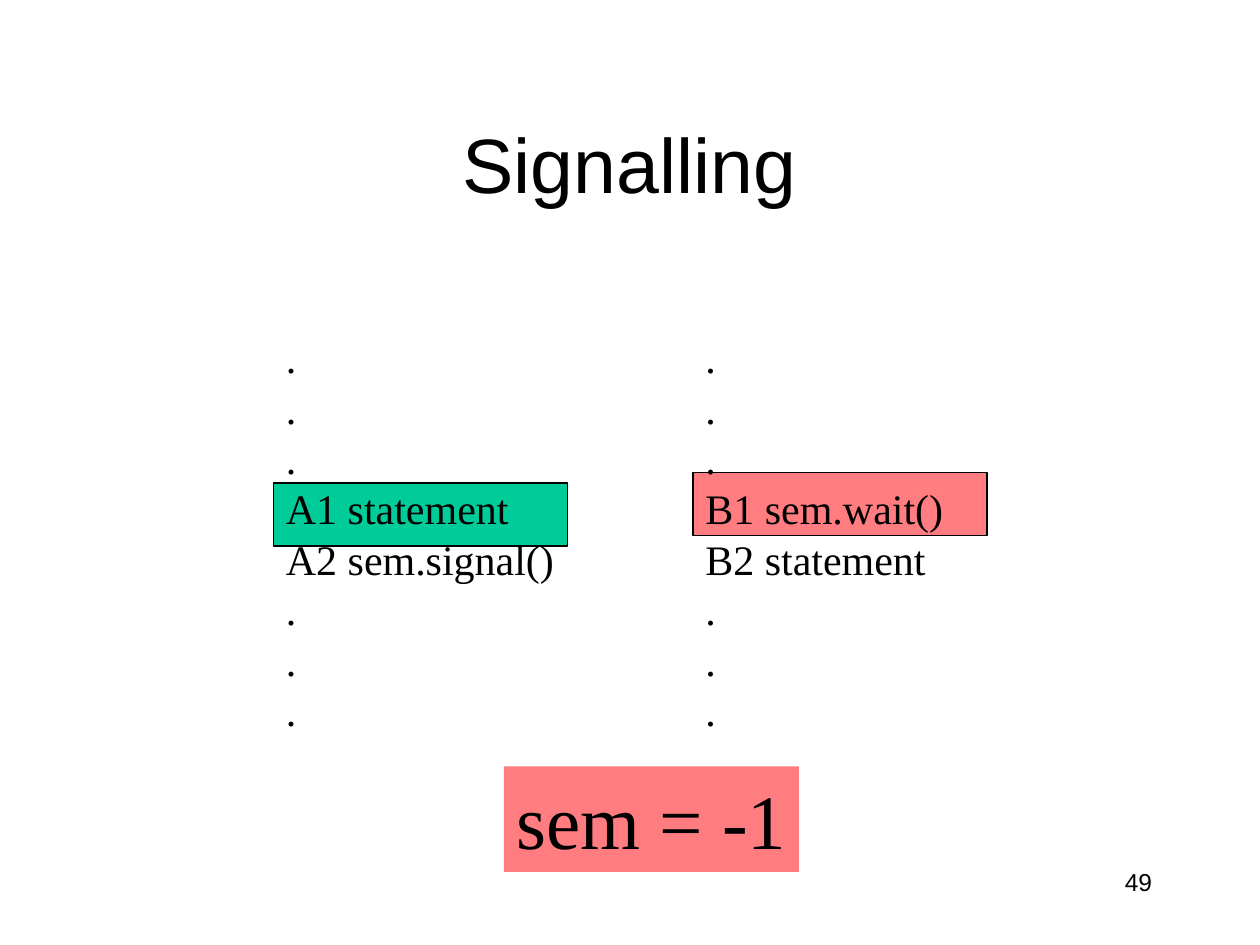
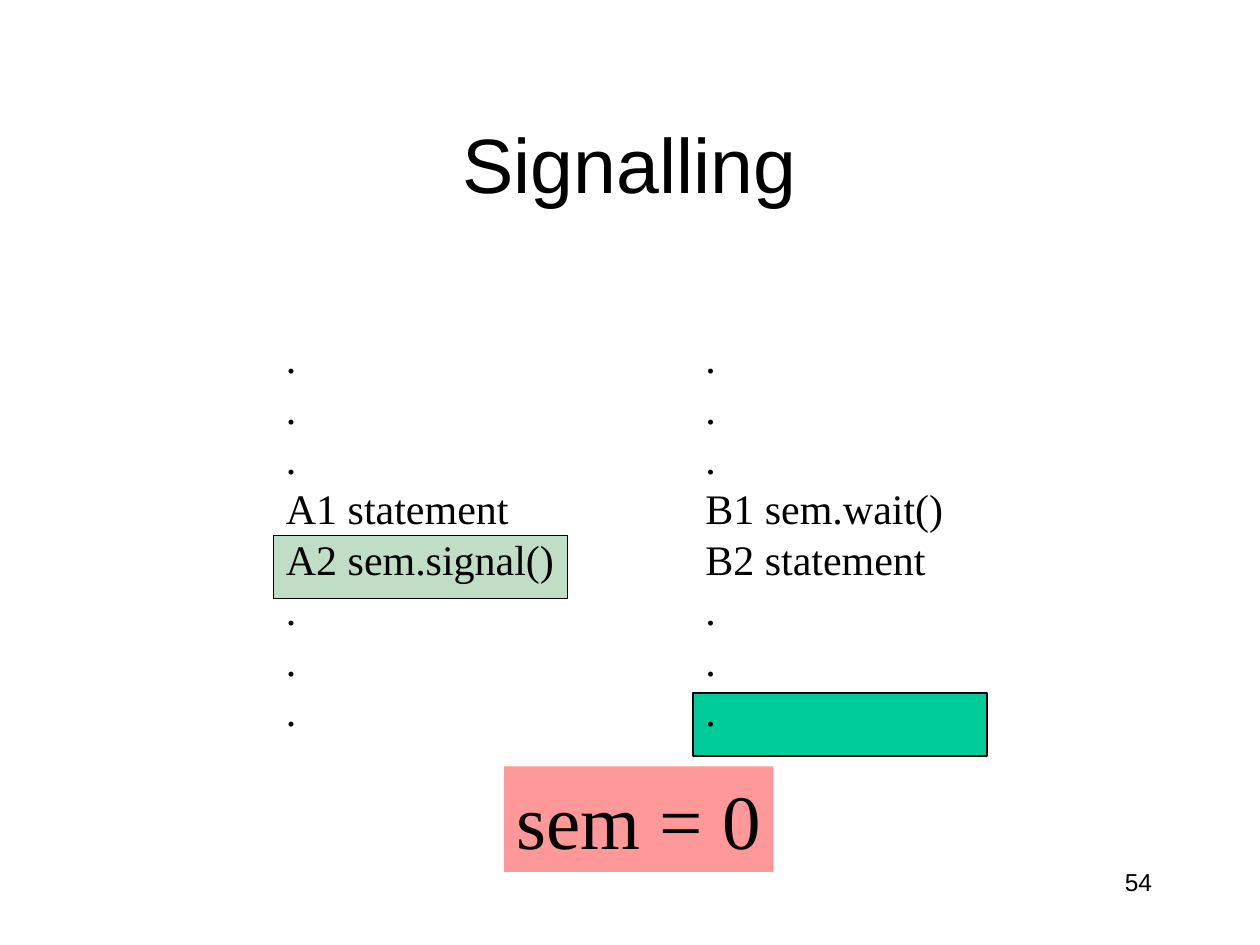
from pptx import Presentation
from pptx.dml.color import RGBColor
from pptx.enum.shapes import MSO_SHAPE
from pptx.enum.text import MSO_ANCHOR, PP_ALIGN
from pptx.util import Pt

COLORS = {
    "ink": "000000",
    "running": "00CC99",
    "done": "C0DEC5",
    "blocked": "FF7C80",
    "released": "FF9999",
}
HEADING_FONT, CODE_FONT = "Arial", "Times New Roman"

# Each thread: left edge and width of its listing, then its statements
THREADS = {
    "A": (156.25, 168, ["A1 statement", "A2 sem.signal()"]),
    "B": (396, 150.5, ["B1 sem.wait()", "B2 statement"]),
}
ELLIPSIS = ["."] * 3

# Per slide: marker (top, colour) by thread, semaphore (text, width, colour)
STEPS = [
    {"number": "49", "markers": {"A": (276, "running"), "B": (270, "blocked")},
     "semaphore": ("sem = -1", 168.5, "blocked")},
    {"number": "54", "markers": {"A": (306, "done"), "B": (396, "running")},
     "semaphore": ("sem = 0", 154, "released")},
]


def color(name):
    return RGBColor.from_string(COLORS[name])


def add_text(slide, box, lines, font, size, align=PP_ALIGN.LEFT, spacing=None):
    text_box = slide.shapes.add_textbox(*map(Pt, box))
    frame = text_box.text_frame
    frame.word_wrap = True
    frame.text = "\n".join(lines)
    for paragraph in frame.paragraphs:
        paragraph.alignment = align
        paragraph.line_spacing = spacing
        paragraph.font.name = font
        paragraph.font.size = Pt(size)
        paragraph.font.color.rgb = color("ink")
    return text_box


def add_code(slide, box, lines, size, spacing):
    code = add_text(slide, box, lines, CODE_FONT, size, spacing=Pt(spacing))
    # Spare room on the right keeps each statement on one line
    code.text_frame.margin_right = 0
    return code


def add_title(slide, text):
    title = add_text(slide, (54, 36.7, 611.3, 112.3), [text], HEADING_FONT, 44,
                     PP_ALIGN.CENTER)
    frame = title.text_frame
    frame.vertical_anchor = MSO_ANCHOR.MIDDLE
    frame.margin_left = frame.margin_right = 0
    frame.margin_top = frame.margin_bottom = 0


def add_marker(slide, left, top, fill):
    marker = slide.shapes.add_shape(
        MSO_SHAPE.RECTANGLE, Pt(left), Pt(top), Pt(168), Pt(36))
    marker.shadow.inherit = False
    marker.fill.solid()
    marker.fill.fore_color.rgb = color(fill)
    marker.line.color.rgb = color("ink")
    marker.line.width = Pt(0.75)


def add_thread(slide, thread, marker):
    left, width, statements = THREADS[thread]
    add_marker(slide, left, *marker)
    add_code(slide, (left, 186, width, 237.6), ELLIPSIS + statements + ELLIPSIS,
             24, 28.8)


def add_semaphore(slide, text, width, fill):
    semaphore = add_code(slide, (288, 438, width, 60.2), [text], 44, 52.5)
    semaphore.fill.solid()
    semaphore.fill.fore_color.rgb = color(fill)


def add_number(slide, number):
    add_text(slide, (516, 492, 149.5, 35), [number], HEADING_FONT, 14,
             PP_ALIGN.RIGHT)


def main():
    deck = Presentation()
    deck.slide_width, deck.slide_height = Pt(720), Pt(540)
    for step in STEPS:
        slide = deck.slides.add_slide(deck.slide_layouts[6])
        add_title(slide, "Signalling")
        for thread, marker in step["markers"].items():
            add_thread(slide, thread, marker)
        add_semaphore(slide, *step["semaphore"])
        add_number(slide, step["number"])
    deck.save("out.pptx")


if __name__ == "__main__":
    main()
